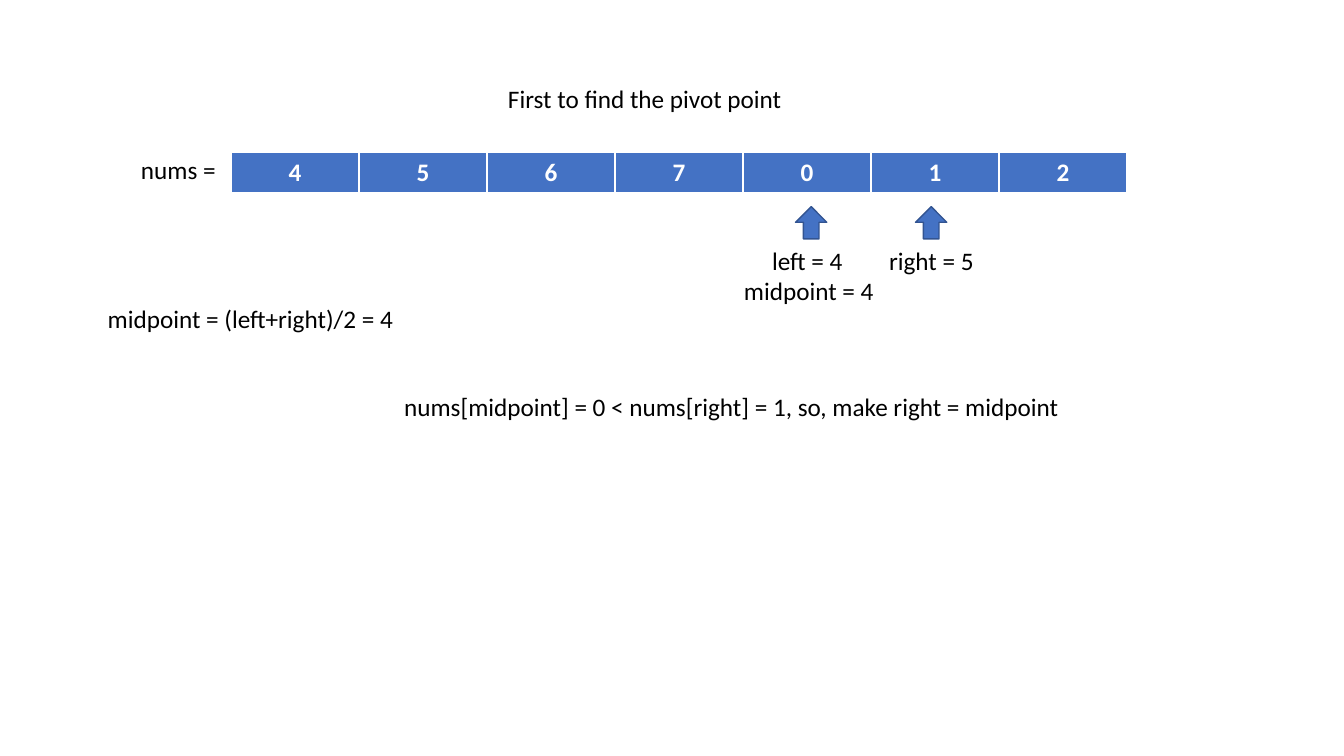
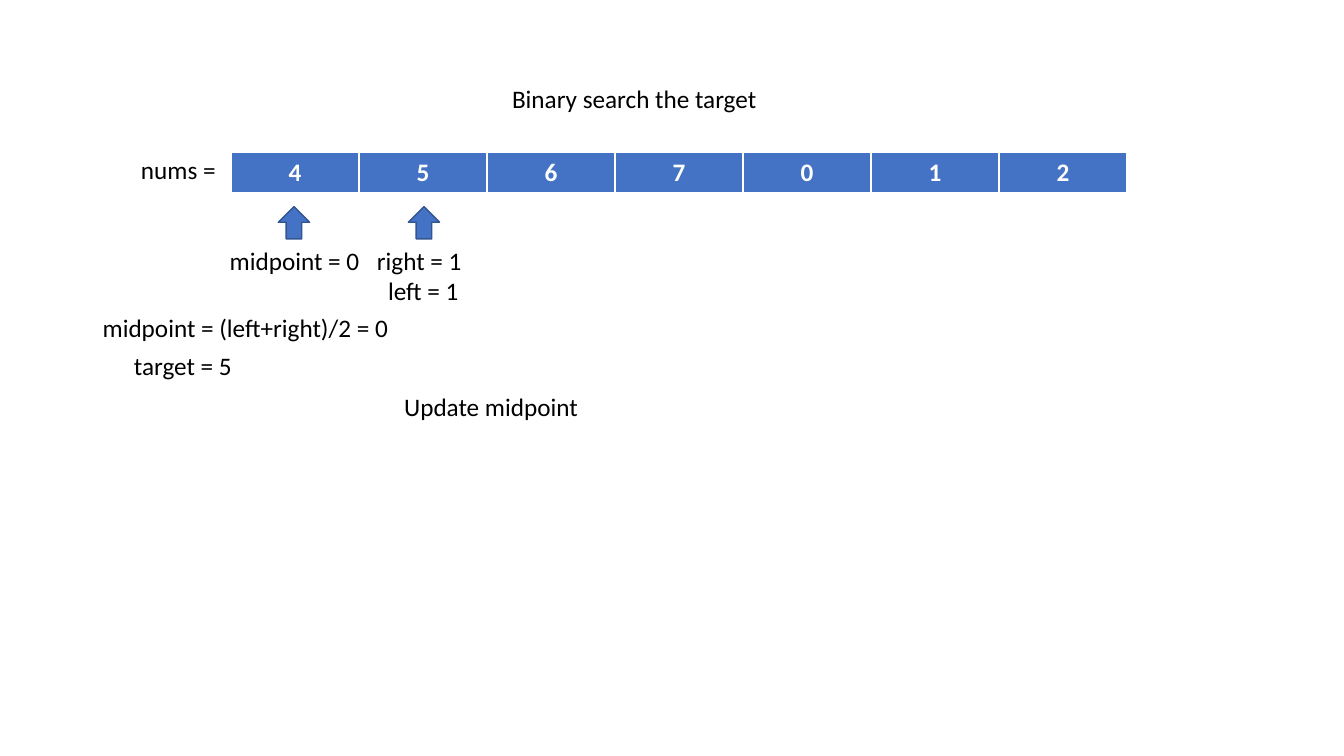
from dataclasses import dataclass

from lxml.etree import SubElement
from pptx import Presentation
from pptx.dml.color import RGBColor
from pptx.enum.shapes import MSO_SHAPE
from pptx.enum.text import MSO_AUTO_SIZE, PP_ALIGN
from pptx.oxml.ns import qn
from pptx.shapes.shapetree import GroupShapes, SlideShapes
from pptx.slide import Slide
from pptx.table import _Cell
from pptx.text.text import _Paragraph
from pptx.util import Inches, Pt


@dataclass(frozen=True)
class Theme:
    font: str = "Calibri"
    size: int = 18
    text: str = "000000"
    blue: str = "4472C4"
    outline: str = "325491"
    white: str = "FFFFFF"


@dataclass(frozen=True)
class Line:
    text: str
    indent: float = 0


@dataclass(frozen=True)
class Label:
    left: float
    top: float
    width: float
    lines: tuple[Line, ...]
    height: float = 0.4


@dataclass(frozen=True)
class Pointer:
    left: float
    label: Label


@dataclass(frozen=True)
class Step:
    title: Label
    pointers: tuple[Pointer, ...]
    notes: tuple[Label, ...]


THEME = Theme()
NUMS = (4, 5, 6, 7, 0, 1, 2)
CELL_WIDTH = 1.27
ROW_HEIGHT = 0.41
ARROW_TOP = 2.05
LABEL_TOP = 2.38
BORDERS = {"a:lnL": 1, "a:lnR": 1, "a:lnT": 1, "a:lnB": 3}
NUMS_LABEL = Label(1.3, 1.48, 1.45, (Line("nums ="),))


def style_paragraph(p: _Paragraph, color: str, bold: bool = False) -> None:
    for r in p.runs:
        r.font.name = THEME.font
        r.font.size = Pt(THEME.size)
        r.font.bold = bold
        r.font.color.rgb = RGBColor.from_string(color)


def add_label(shapes: SlideShapes | GroupShapes, label: Label) -> None:
    box = shapes.add_textbox(Inches(label.left), Inches(label.top),
                             Inches(label.width), Inches(label.height))
    tf = box.text_frame
    tf.word_wrap = True
    tf.auto_size = MSO_AUTO_SIZE.SHAPE_TO_FIT_TEXT
    tf.text = "\n".join(line.text for line in label.lines)
    for p, line in zip(tf.paragraphs, label.lines):
        style_paragraph(p, THEME.text)
        if line.indent:
            p._p.get_or_add_pPr().set("marL", str(Inches(line.indent)))


def add_pointer(s: Slide, pointer: Pointer) -> None:
    group = s.shapes.add_group_shape()
    arrow = group.shapes.add_shape(MSO_SHAPE.DOWN_ARROW, Inches(pointer.left),
                                   Inches(ARROW_TOP), Inches(0.31), Inches(0.32))
    arrow.rotation = 180
    arrow.shadow.inherit = False
    arrow.fill.solid()
    arrow.fill.fore_color.rgb = RGBColor.from_string(THEME.blue)
    arrow.line.color.rgb = RGBColor.from_string(THEME.outline)
    arrow.line.width = Pt(1)
    add_label(group.shapes, pointer.label)


def style_cell(cell: _Cell) -> None:
    tc_pr = cell._tc.get_or_add_tcPr()
    for tag, width in BORDERS.items():
        ln = SubElement(tc_pr, qn(tag), w=str(Pt(width)))
        fill = SubElement(ln, qn("a:solidFill"))
        SubElement(fill, qn("a:srgbClr"), val=THEME.white)
    cell.fill.solid()
    cell.fill.fore_color.rgb = RGBColor.from_string(THEME.blue)
    p = cell.text_frame.paragraphs[0]
    p.alignment = PP_ALIGN.CENTER
    style_paragraph(p, THEME.white, bold=True)


def add_nums(s: Slide) -> None:
    table = s.shapes.add_table(1, len(NUMS), Inches(2.29), Inches(1.51),
                               Inches(CELL_WIDTH * len(NUMS)), Inches(ROW_HEIGHT)).table
    for column, num in enumerate(NUMS):
        table.columns[column].width = Inches(CELL_WIDTH)
        cell = table.cell(0, column)
        cell.text_frame.text = str(num)
        style_cell(cell)
    add_label(s.shapes, NUMS_LABEL)


def add_step(prs: Presentation, step: Step) -> None:
    s = prs.slides.add_slide(prs.slide_layouts[6])
    add_nums(s)
    add_label(s.shapes, step.title)
    for pointer in step.pointers:
        add_pointer(s, pointer)
    for note in step.notes:
        add_label(s.shapes, note)


STEPS = (
    Step(
        Label(4.94, 0.78, 5.5, (Line("First to find the pivot point"),)),
        (
            Pointer(7.89, Label(7.28, LABEL_TOP, 1.78,
                                (Line("left = 4", 0.28), Line("midpoint = 4")), 1.01)),
            Pointer(9.08, Label(8.49, LABEL_TOP, 1.5, (Line("right = 5", 0.23),))),
        ),
        (
            Label(0.97, 2.96, 3.47, (Line("midpoint = (left+right)/2 = 4"),)),
            Label(3.91, 3.83, 7.55,
                  (Line("nums[midpoint] = 0 < nums[right] = 1, so, make right = midpoint"),)),
        ),
    ),
    Step(
        Label(4.98, 0.78, 2.68, (Line("Binary search the target"),)),
        (
            Pointer(2.76, Label(2.18, LABEL_TOP, 1.78, (Line("midpoint = 0"),), 0.71)),
            Pointer(4.05, Label(3.36, LABEL_TOP, 1.78,
                                (Line("right = 1", 0.28), Line("left = 1", 0.39)), 0.71)),
        ),
        (
            Label(1.23, 3.43, 1.19, (Line("target = 5"),)),
            Label(0.92, 3.05, 3.13, (Line("midpoint = (left+right)/2 = 0"),)),
            Label(3.91, 3.83, 7.55, (Line("Update midpoint"),)),
        ),
    ),
)

prs = Presentation()
prs.slide_width = Inches(13.33)
prs.slide_height = Inches(7.5)
for step in STEPS:
    add_step(prs, step)
prs.save("out.pptx")
